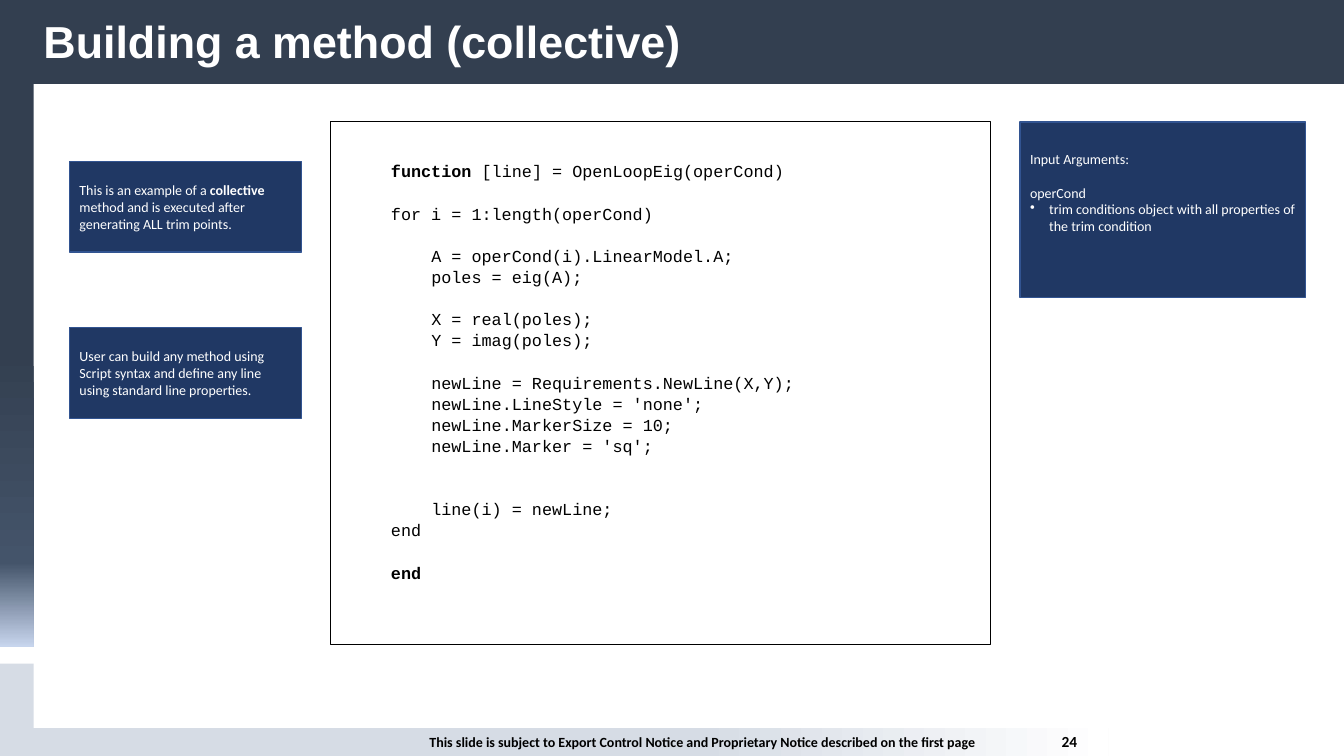
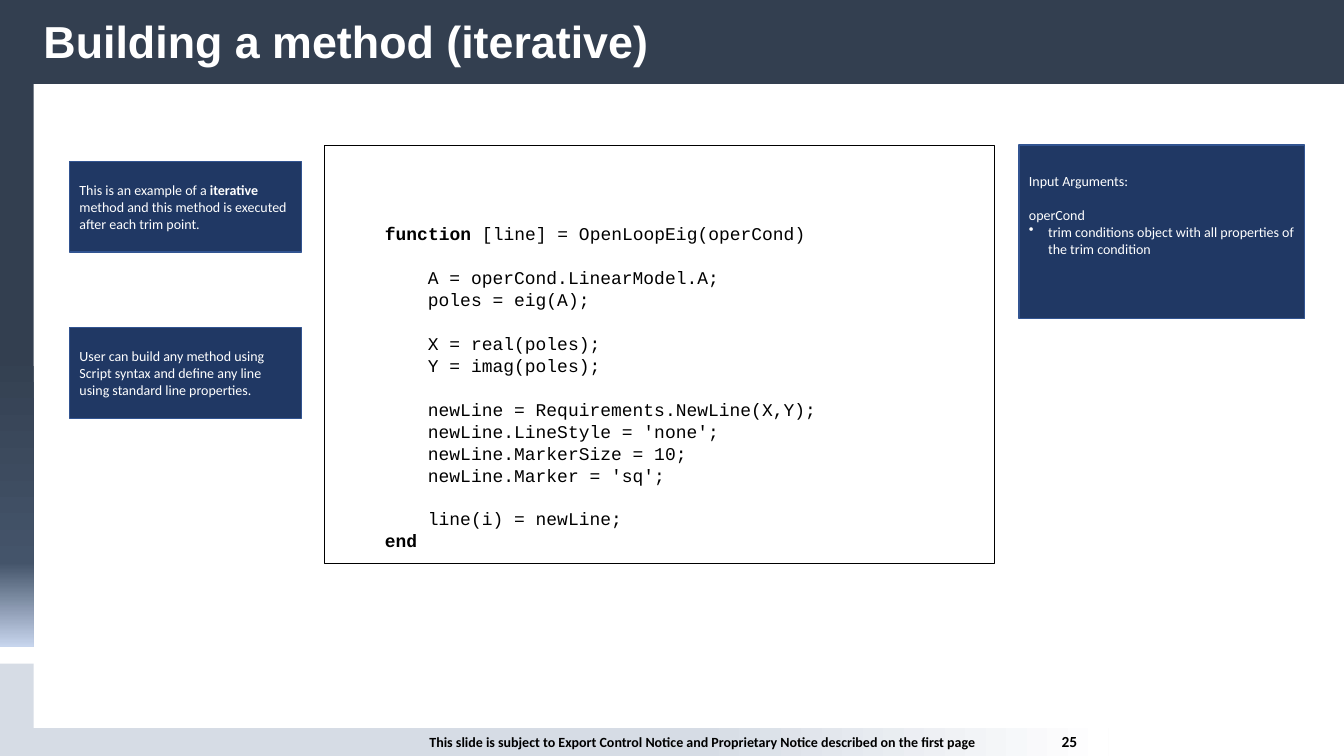
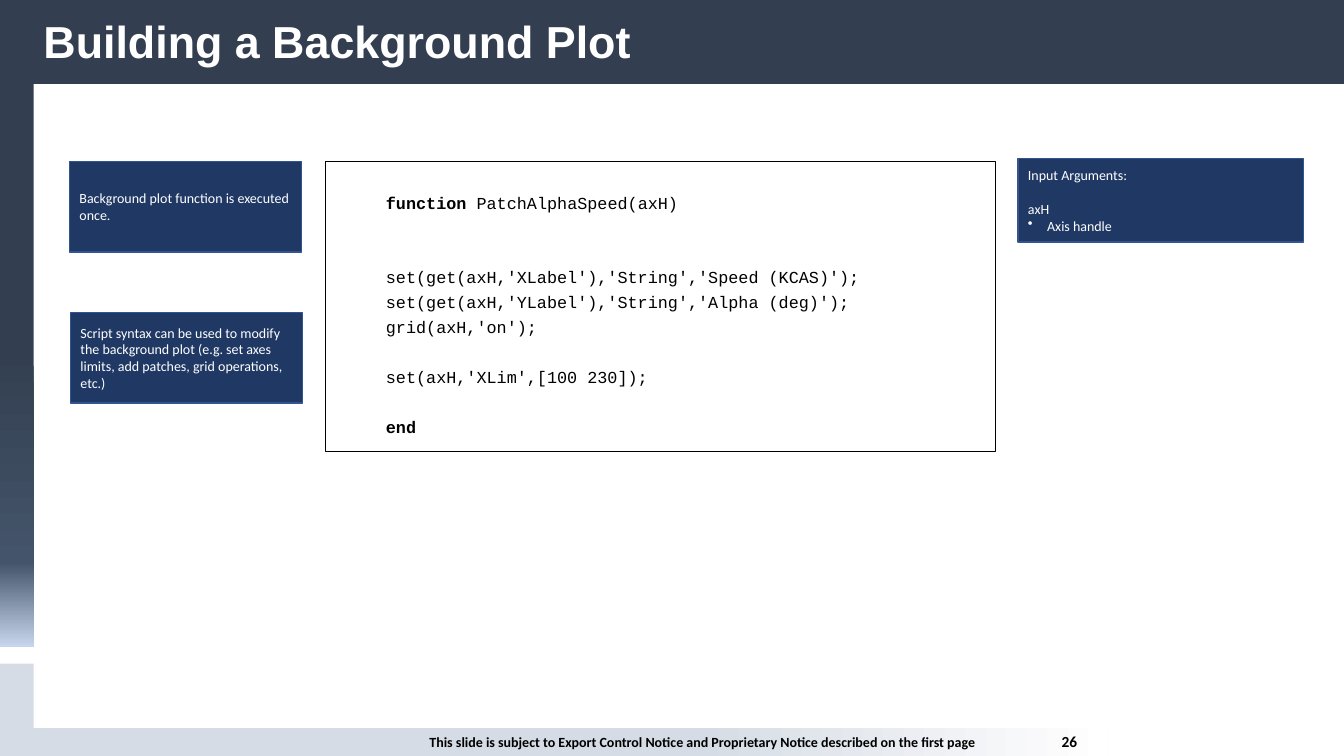
from lxml import etree
from pptx import Presentation
from pptx import util as u
from pptx.dml.color import RGBColor
from pptx.enum import shapes, text
from pptx.oxml.ns import qn

SLATE = RGBColor(0x33, 0x3F, 0x50)
STEEL = RGBColor(0x44, 0x54, 0x6A)
ICE = RGBColor(0xC7, 0xD5, 0xED)
MIST = RGBColor(0xD6, 0xDC, 0xE5)
NAVY = RGBColor(0x20, 0x38, 0x64)
BLUE = RGBColor(0x32, 0x54, 0x91)
WHITE = RGBColor(0xFF, 0xFF, 0xFF)
BLACK = RGBColor(0, 0, 0)

COLUMNS, ROWS = 40, 22.5
CELL = u.Inches(1 / 3)
FIRST_NUMBER = 24
NOTE_PITCH = 12.2
NOTICE = ("This slide is subject to Export Control Notice and Proprietary Notice "
          "described on the first page")

COLLECTIVE_CODE = """**function** [line] = OpenLoopEig(operCond)

for i = 1:length(operCond)

    A = operCond(i).LinearModel.A;
    poles = eig(A);

    X = real(poles);
    Y = imag(poles);

    newLine = Requirements.NewLine(X,Y);
    newLine.LineStyle = 'none';
    newLine.MarkerSize = 10;
    newLine.Marker = 'sq';


    line(i) = newLine;
end

**end**"""

ITERATIVE_CODE = """**function** [line] = OpenLoopEig(operCond)

    A = operCond.LinearModel.A;
    poles = eig(A);

    X = real(poles);
    Y = imag(poles);

    newLine = Requirements.NewLine(X,Y);
    newLine.LineStyle = 'none';
    newLine.MarkerSize = 10;
    newLine.Marker = 'sq';

    line(i) = newLine;
**end**"""

PLOT_CODE = """**function** PatchAlphaSpeed(axH)


set(get(axH,'XLabel'),'String','Speed (KCAS)');
set(get(axH,'YLabel'),'String','Alpha (deg)');
grid(axH,'on');

set(axH,'XLim',[100 230]);

**end**"""

TRIM_INPUTS = """Input Arguments:

operCond
• trim conditions object with all properties of the trim condition"""

PLOT_INPUTS = """Input Arguments:

axH
• Axis handle"""

SYNTAX_NOTE = ("User can build any method using Script syntax and define any line "
               "using standard line properties.")


def write(shape, content, size=10, font="Calibri", color=WHITE, bold=False,
          align=text.PP_ALIGN.LEFT, anchor=text.MSO_ANCHOR.TOP, spacing=None,
          pitch=NOTE_PITCH, indent=0, left=0.1, top=0.05, bottom=0.05):
    """Write lines: ** toggles bold, a blank line is a gap of one pitch,
    leading blanks are an indent and • starts a bullet."""
    frame = shape.text_frame
    frame.word_wrap = True
    frame.vertical_anchor = anchor
    frame.margin_left, frame.margin_right = u.Inches(left), u.Inches(0.1)
    frame.margin_top, frame.margin_bottom = u.Inches(top), u.Inches(bottom)
    paragraph, gap = frame.paragraphs[0], 0
    for number, line in enumerate(content.split("\n")):
        if not line:
            gap += 1
            continue
        if number:
            paragraph = frame.add_paragraph()
        paragraph.alignment = align
        paragraph.space_before = u.Pt(gap * pitch)
        gap = 0
        if spacing:
            paragraph.line_spacing = spacing
        words = line.lstrip(" ")
        blanks = len(line) - len(words)
        margin = u.Inches(indent) + u.Pt(blanks * 0.6 * size)
        properties = paragraph._p.get_or_add_pPr()
        if words.startswith("• "):
            words = words[2:]
            margin = u.Inches(0.19)
            properties.set("indent", str(-margin))
            etree.SubElement(properties, qn("a:buChar"), char="•")
        properties.set("marL", str(margin))
        for part, piece in enumerate(words.split("**")):
            if piece:
                run = paragraph.add_run()
                run.text = piece
                run.font.size = u.Pt(size)
                run.font.name = font
                run.font.color.rgb = color
                run.font.bold = bold or part % 2 == 1


class Deck:
    """Holds the shared style and the current slide; lengths are grid cells."""

    def __init__(self):
        self.presentation = Presentation()
        self.presentation.slide_width = int(COLUMNS * CELL)
        self.presentation.slide_height = int(ROWS * CELL)
        self.slide = None

    def place(self, *cells):
        return [int(cell * CELL) for cell in cells]

    def box(self, column, row, width, height, fill=None, line=None, weight=1):
        shape = self.slide.shapes.add_shape(
            shapes.MSO_SHAPE.RECTANGLE, *self.place(column, row, width, height))
        shape.shadow.inherit = False
        if fill is None:
            shape.fill.background()
        else:
            shape.fill.solid()
            shape.fill.fore_color.rgb = fill
        if line is None:
            shape.line.fill.background()
        else:
            shape.line.color.rgb = line
            shape.line.width = u.Pt(weight)
        return shape

    def fade(self, shape, angle, *stops):
        """Fill with a gradient of (percent, colour) stops."""
        shape.fill.gradient()
        shape.fill.gradient_angle = angle
        stop_list = shape._element.spPr.find(".//" + qn("a:gsLst"))
        for stop in list(stop_list):
            stop_list.remove(stop)
        for percent, color in stops:
            stop = etree.SubElement(stop_list, qn("a:gs"), pos=str(percent * 1000))
            etree.SubElement(stop, qn("a:srgbClr"), val=str(color))

    def label(self, column, row, width, height, content, **style):
        shape = self.slide.shapes.add_textbox(
            *self.place(column, row, width, height))
        write(shape, content, **style)

    def new_slide(self, title):
        slides = self.presentation.slides
        self.slide = slides.add_slide(self.presentation.slide_layouts[6])
        self.box(0, 0, COLUMNS, 2.5, SLATE)
        self.box(0, 19.75, 1, 2.75, MIST)
        side_band = self.box(0, 0, 1, 19.25)
        self.fade(side_band, 270, (54, SLATE), (87, STEEL), (100, ICE))
        footer = self.box(0, 21.66, 33, 0.84)
        self.fade(footer, 0, (63, MIST), (100, WHITE))
        write(footer, NOTICE, color=BLACK, bold=True, left=3.03,
              align=text.PP_ALIGN.CENTER, anchor=text.MSO_ANCHOR.MIDDLE)
        self.label(31.3, 21.63, 2.58, 0.87, str(FIRST_NUMBER + len(slides) - 1),
                   size=11, color=BLACK, bold=True)
        self.label(1, 0.45, 39, 2, title, size=32, font="Arial", bold=True,
                   spacing=0.9)

    def code(self, column, row, width, height, content, pitch, top, size=12):
        shape = self.box(column, row, width, height, line=BLACK, weight=0.75)
        write(shape, content, size=size, font="Courier New", color=BLACK,
              spacing=u.Pt(pitch), pitch=pitch, indent=0.5, top=top)

    def note(self, column, row, content, width=6.9, height=2.7, bottom=0.05):
        shape = self.box(column, row, width, height, NAVY, BLUE)
        write(shape, content, anchor=text.MSO_ANCHOR.MIDDLE, bottom=bottom)


def main():
    deck = Deck()

    deck.new_slide("Building a method (collective)")
    deck.code(9.84, 3.63, 19.65, 15.54, COLLECTIVE_CODE, pitch=15.07, top=0.38)
    deck.note(30.36, 3.63, TRIM_INPUTS, width=8.5, height=5.22, bottom=0.39)
    deck.note(2.07, 9.75, SYNTAX_NOTE)
    deck.note(2.07, 4.8, "This is an example of a **collective** method and is "
              "executed after generating ALL trim points.")

    deck.new_slide("Building a method (iterative)")
    deck.code(9.66, 4.32, 19.95, 12.45, ITERATIVE_CODE, pitch=15.71, top=0.76,
              size=12.8)
    deck.note(30.33, 4.32, TRIM_INPUTS, width=8.5, height=5.16, bottom=0.39)
    deck.note(2.07, 9.75, SYNTAX_NOTE)
    deck.note(2.07, 4.8, "This is an example of a **iterative** method and this "
              "method is executed after each trim point.")

    deck.new_slide("Building a Background Plot")
    deck.code(9.69, 4.8, 19.95, 8.64, PLOT_CODE, pitch=17.82, top=0.26)
    deck.note(30.3, 4.71, PLOT_INPUTS, width=8.5, height=2.49)
    deck.note(2.07, 4.8, "Background plot function is executed once.")
    deck.note(2.1, 9.3, "Script syntax can be used to modify the background plot "
              "(e.g. set axes limits, add patches, grid operations, etc.)")

    deck.presentation.save("out.pptx")


if __name__ == "__main__":
    main()
